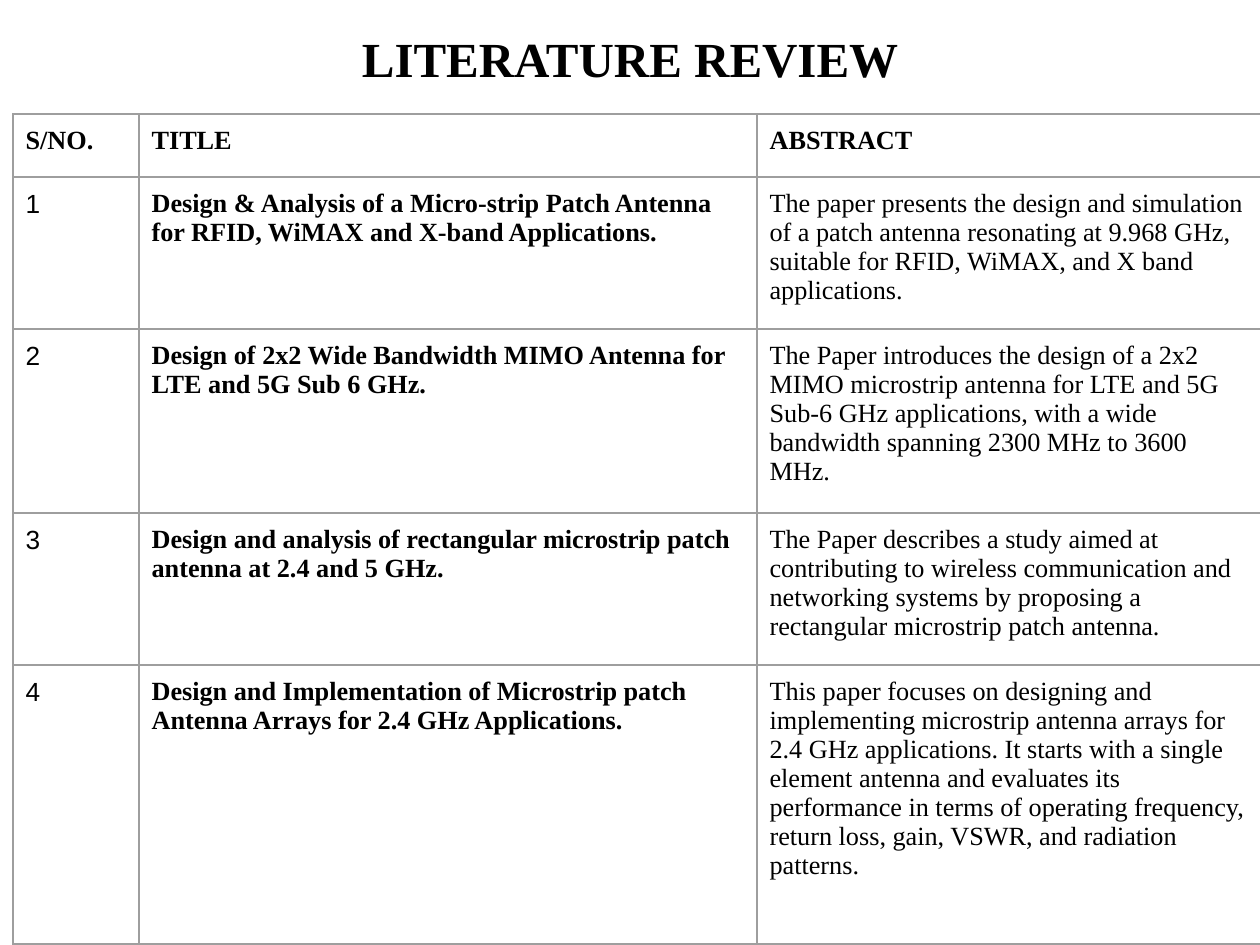
from lxml.etree import SubElement
from pptx import Presentation
from pptx.dml.color import RGBColor
from pptx.enum.text import MSO_ANCHOR, PP_ALIGN
from pptx.oxml.ns import qn
from pptx.util import Pt

SCALE = 914400 / 126
SERIF = "Times New Roman"


def px(length):
    return round(length * SCALE)


def add_span(para, text, size, font, bold):
    span = para.add_run()
    span.text = text
    span.font.size = Pt(size)
    span.font.name = font
    span.font.bold = bold
    span.font.color.rgb = RGBColor.from_string("000000")


deck = Presentation()
deck.slide_width = px(1260)
deck.slide_height = px(945)
page = deck.slides.add_slide(deck.slide_layouts[6])

title_box = page.shapes.add_textbox(0, 0, px(1260), px(115))
title_box.text_frame.word_wrap = True
title_box.text_frame.vertical_anchor = MSO_ANCHOR.MIDDLE
title_para = title_box.text_frame.paragraphs[0]
title_para.alignment = PP_ALIGN.CENTER
add_span(title_para, "LITERATURE REVIEW", 28, SERIF, True)

rows = [
    ("S/NO.", "TITLE", "ABSTRACT"),
    ("1", "Design & Analysis of a Micro-strip Patch Antenna for RFID, WiMAX and X-band Applications.",
     "The paper presents the design and simulation of a patch antenna resonating at 9.968 GHz, "
     "suitable for RFID, WiMAX, and X band applications."),
    ("2", "Design of 2x2 Wide Bandwidth MIMO Antenna for LTE and 5G Sub 6 GHz.",
     "The Paper introduces the design of a 2x2 MIMO microstrip antenna for LTE and 5G Sub-6 GHz "
     "applications, with a wide bandwidth spanning 2300 MHz to 3600 MHz."),
    ("3", "Design and analysis of rectangular microstrip patch antenna at 2.4 and 5 GHz.",
     "The Paper describes a study aimed at contributing to wireless communication and networking "
     "systems by proposing a rectangular microstrip patch antenna."),
    ("4", "Design and Implementation of Microstrip patch Antenna Arrays for 2.4 GHz Applications.",
     "This paper focuses on designing and implementing microstrip antenna arrays for 2.4 GHz "
     "applications. It starts with a single element antenna and evaluates its performance in terms "
     "of operating frequency, return loss, gain, VSWR, and radiation patterns."),
]
column_widths = [126, 618, 504]
row_heights = [63, 152, 184, 152, 279]
column_styles = [("Arial", False), (SERIF, True), (SERIF, False)]

table = page.shapes.add_table(
    len(rows), len(column_widths), px(13), px(114), px(sum(column_widths)), px(sum(row_heights))
).table
table.first_row = False
table.horz_banding = False
for column, width in zip(table.columns, column_widths):
    column.width = px(width)

for row_index, (texts, height) in enumerate(zip(rows, row_heights)):
    table.rows[row_index].height = px(height)
    for column_index, text in enumerate(texts):
        cell = table.cell(row_index, column_index)
        cell.margin_left = cell.margin_right = cell.margin_top = cell.margin_bottom = Pt(7.2)
        font, bold = column_styles[column_index] if row_index else (SERIF, True)
        add_span(cell.text_frame.paragraphs[0], text, 15, font, bold)
        properties = cell._tc.get_or_add_tcPr()
        for side in ("a:lnL", "a:lnR", "a:lnT", "a:lnB"):
            border = SubElement(properties, qn(side), w=str(Pt(0.75)))
            SubElement(SubElement(border, qn("a:solidFill")), qn("a:srgbClr"), val="9E9E9E")
        cell.fill.background()

deck.save("out.pptx")
